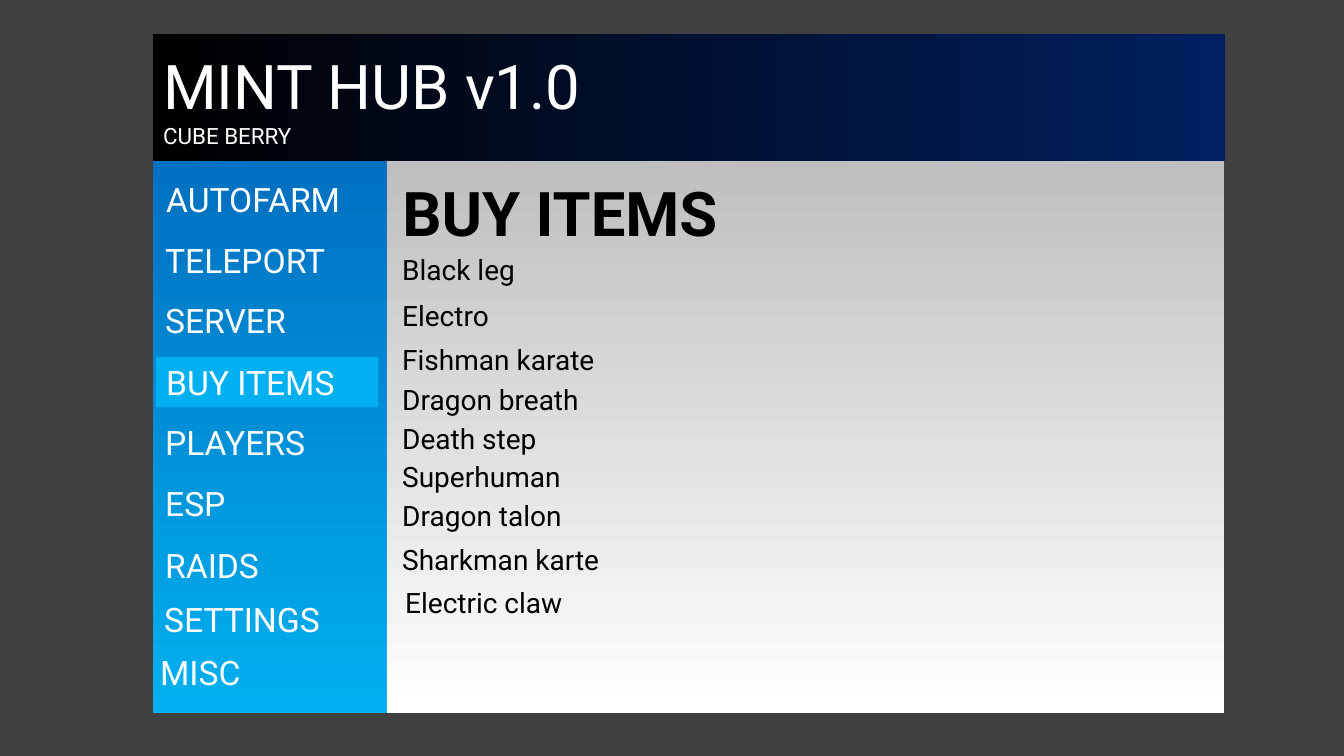
"""Builds a game menu slide with a header, a sidebar and an item list."""
import pptx
import pptx.dml.color
import pptx.enum.shapes
import pptx.enum.text
import pptx.util
from pptx.util import Inches

THEME = {
    "font": "Roboto",
    "backdrop": "404040",
    "sidebar": ("0070C0", "00B0F0"),
    "content": ("BFBFBF", "FFFFFF"),
    "header": ("000000", "002060"),
    "highlight": "00B0F0",
    "light": "FFFFFF",
    "dark": "000000",
    "heading": 44,
    "menu": 24,
    "item": 20,
    "caption": 16,
}

MENU = [
    ("AUTOFARM", 1.55, 1.73),
    ("TELEPORT", 1.54, 2.33),
    ("SERVER", 1.54, 2.93),
    ("BUY ITEMS", 1.55, 3.54),
    ("PLAYERS", 1.54, 4.14),
    ("ESP", 1.54, 4.74),
    ("RAIDS", 1.54, 5.36),
    ("SETTINGS", 1.53, 5.89),
    ("MISC", 1.49, 6.42),
]
SELECTED = "BUY ITEMS"

ITEMS = [
    ("Black leg", 3.89, 2.46),
    ("Electro", 3.89, 2.91),
    ("Fishman karate", 3.89, 3.35),
    ("Dragon breath", 3.89, 3.75),
    ("Death step", 3.89, 4.13),
    ("Superhuman", 3.89, 4.51),
    ("Dragon talon", 3.89, 4.9),
    ("Sharkman karte", 3.89, 5.33),
    ("Electric claw", 3.92, 5.76),
]


class Painter:
    """Holds the theme and the current slide and draws elements on it."""

    def __init__(self, page, theme):
        self.page = page
        self.theme = theme
        self.paint(page.background.fill, theme["backdrop"])

    def color(self, value):
        """Turns a hex value into a colour."""
        return pptx.dml.color.RGBColor.from_string(value)

    def paint(self, fill, value):
        """Applies a solid colour to a fill."""
        fill.solid()
        fill.fore_color.rgb = self.color(value)

    def panel(self, parent, place, name, angle):
        """Draws a rectangle with a two-colour gradient."""
        shape = parent.shapes.add_shape(
            pptx.enum.shapes.MSO_SHAPE.RECTANGLE, *map(Inches, place))
        shape.shadow.inherit = False
        shape.line.fill.background()
        shape.fill.gradient()
        shape.fill.gradient_angle = angle
        for stop, value in zip(shape.fill.gradient_stops, self.theme[name]):
            stop.color.rgb = self.color(value)

    def set_lines(self, box, lines, color, bold=False):
        """Fills a text shape with (text, size name) lines."""
        frame = box.text_frame
        settings = {
            "word_wrap": True,
            "auto_size": pptx.enum.text.MSO_AUTO_SIZE.SHAPE_TO_FIT_TEXT,
            "vertical_anchor": pptx.enum.text.MSO_ANCHOR.TOP,
        }
        for name, value in settings.items():
            setattr(frame, name, value)
        for index, (text, size) in enumerate(lines):
            para = frame.add_paragraph() if index else frame.paragraphs[0]
            para.alignment = pptx.enum.text.PP_ALIGN.LEFT
            span = para.add_run()
            span.text = text
            span.font.color.rgb = self.color(self.theme[color])
            style = {
                "name": self.theme["font"],
                "size": pptx.util.Pt(self.theme[size]),
                "bold": bold,
            }
            for name, value in style.items():
                setattr(span.font, name, value)

    def text(self, parent, place, lines, color, fill=None):
        """Adds a text box, with a solid fill when one is named."""
        box = parent.shapes.add_textbox(*map(Inches, place))
        if fill:
            self.paint(box.fill, self.theme[fill])
        self.set_lines(box, lines, color)

    def title(self, place, text):
        """Places the title placeholder in front of the panels."""
        box = self.page.shapes.title
        for name, value in zip(("left", "top", "width", "height"), place):
            setattr(box, name, Inches(value))
        self.set_lines(box, [(text, "heading")], "dark", bold=True)
        box.element.getparent().append(box.element)


def main():
    """Builds and saves the deck."""
    deck = pptx.Presentation()
    deck.slide_width, deck.slide_height = Inches(13.33), Inches(7.5)
    page = deck.slides.add_slide(deck.slide_layouts.get_by_name("Title Only"))
    painter = Painter(page, THEME)

    window = page.shapes.add_group_shape()
    painter.panel(window, (1.52, 1.6, 2.33, 5.47), "sidebar", 270)
    painter.panel(window, (3.84, 1.6, 8.3, 5.47), "content", 270)
    painter.panel(window, (1.52, 0.34, 10.63, 1.26), "header", 0)
    painter.text(window, (1.52, 0.43, 5.94, 1.08),
                 [("MINT HUB v1.0", "heading"), ("CUBE BERRY", "caption")],
                 "light")

    for label, left, top in MENU:
        painter.text(page, (left, top, 2.2, 0.5), [(label, "menu")], "light",
                     "highlight" if label == SELECTED else None)
    painter.title((3.89, 1.69, 7.75, 0.84), "BUY ITEMS")
    for label, left, top in ITEMS:
        painter.text(page, (left, top, 8.35, 0.44), [(label, "item")], "dark")

    deck.save("out.pptx")


if __name__ == "__main__":
    main()
